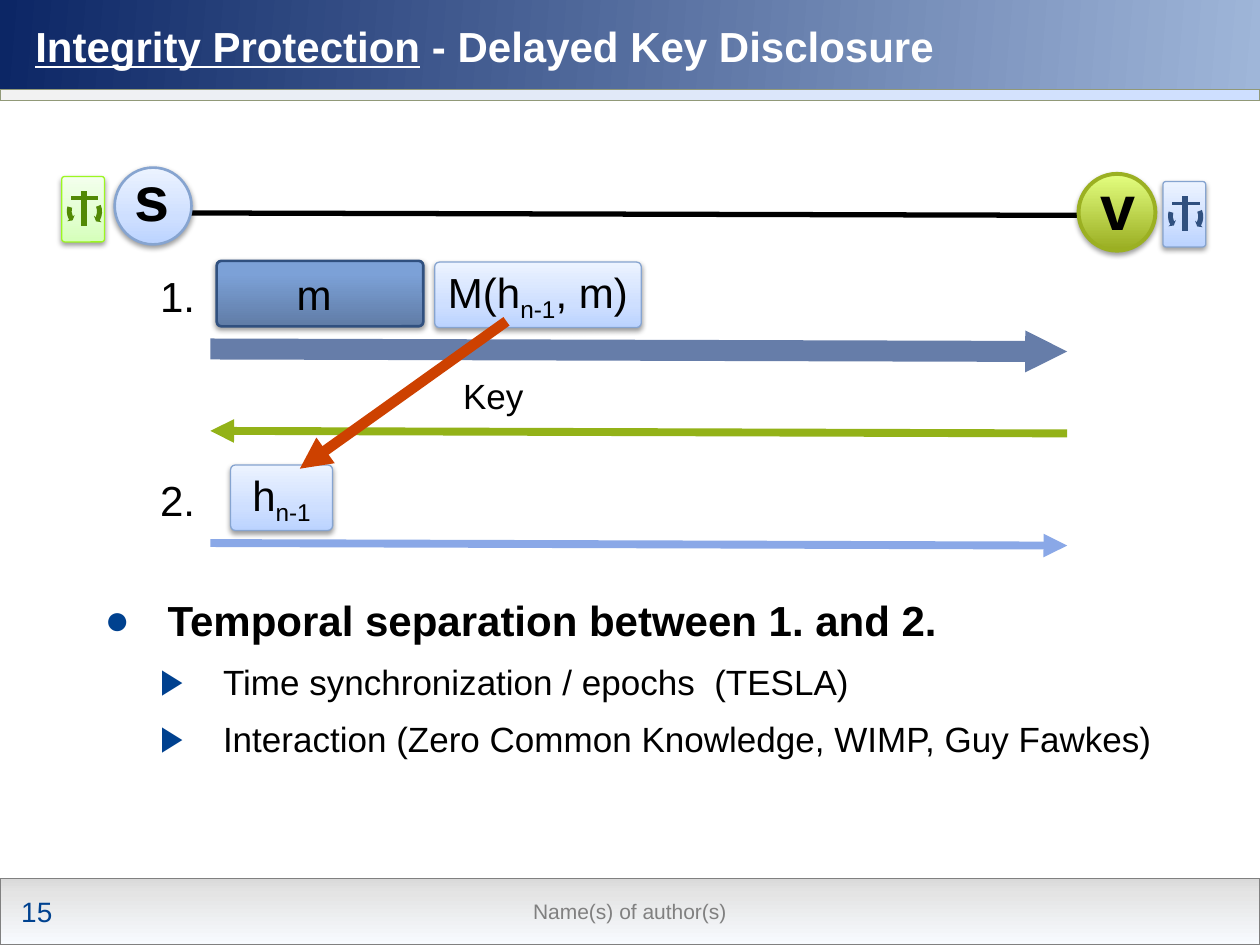
from pptx import Presentation
from pptx.dml.color import RGBColor
from pptx.enum.shapes import MSO_CONNECTOR, MSO_SHAPE
from pptx.enum.text import MSO_ANCHOR, MSO_AUTO_SIZE, PP_ALIGN
from pptx.oxml import parse_xml
from pptx.oxml.ns import nsdecls
from pptx.util import Inches, Pt

RECTANGLE, ROUNDED = MSO_SHAPE.RECTANGLE, MSO_SHAPE.ROUNDED_RECTANGLE
ELLIPSE, BAR = MSO_SHAPE.OVAL, MSO_SHAPE.FLOWCHART_PROCESS
ARC = MSO_SHAPE.CIRCULAR_ARROW
LEFT, CENTER = PP_ALIGN.LEFT, PP_ALIGN.CENTER
TOP, MIDDLE = MSO_ANCHOR.TOP, MSO_ANCHOR.MIDDLE

BLACK, WHITE = RGBColor(0, 0, 0), RGBColor(255, 255, 255)
GRAY = RGBColor(0x80, 0x80, 0x80)
NAVY = RGBColor(0x00, 0x41, 0x8F)
SKY = RGBColor(0x56, 0x77, 0xC1)
NUMBER_BLUE = RGBColor(0x00, 0x42, 0x90)
STRIP_EDGE = RGBColor(0x91, 0x99, 0x78)
PALE_EDGE = RGBColor(0x86, 0xA4, 0xD0)
DARK_BLUE = RGBColor(0x30, 0x50, 0x7F)
STEEL = RGBColor(0x66, 0x7D, 0xA9)
LIGHT_BLUE = RGBColor(0x8A, 0xA8, 0xE7)
OLIVE = RGBColor(0x93, 0xB2, 0x18)
OLIVE_EDGE = RGBColor(0x9B, 0xB0, 0x22)
LIME = RGBColor(0x9C, 0xF7, 0x20)
DARK_GREEN = RGBColor(0x52, 0x89, 0x05)
RED = RGBColor(0xCD, 0x41, 0x00)

# Gradients: angle in degrees, then (position, colour) stops
HEADER = (5, (0, RGBColor(0x0C, 0x26, 0x65)), (100, RGBColor(0x9F, 0xB6, 0xD9)))
STRIP = (0, (0, RGBColor(0xF2, 0xF2, 0xF2)), (100, RGBColor(0xCE, 0xDF, 0xFF)))
FOOTER = (90, (0, RGBColor(0xD9, 0xD9, 0xD9)), (23, RGBColor(0xE4, 0xE4, 0xE4)),
          (100, RGBColor(0xF8, 0xFB, 0xFF)))
PALE_BLUE = (270, (0, RGBColor(0xBB, 0xD3, 0xFF)), (35, RGBColor(0xCE, 0xDF, 0xFF)),
             (100, RGBColor(0xEC, 0xF3, 0xFF)))
PALE_GREEN = (270, (0, RGBColor(0xD5, 0xFF, 0xBA)), (35, RGBColor(0xE1, 0xFF, 0xCE)),
              (100, RGBColor(0xF3, 0xFF, 0xED)))
MID_BLUE = (270, (0, RGBColor(0x60, 0x7C, 0xA6)), (80, RGBColor(0x7C, 0xA1, 0xD7)),
            (100, RGBColor(0x7B, 0xA1, 0xDA)))
GREEN = (270, (0, RGBColor(0x99, 0xAD, 0x21)), (100, RGBColor(0xE4, 0xFF, 0x80)))


def set_gradient(shape, gradient):
    angle, *stops = gradient
    shape.fill.gradient()
    fill = shape._element.spPr.find("{*}gradFill")
    stop_xml = "".join(f'<a:gs pos="{position * 1000}"><a:srgbClr val="{color}"/></a:gs>'
                       for position, color in stops)
    fill.getparent().replace(fill, parse_xml(
        f'<a:gradFill {nsdecls("a")} rotWithShape="1"><a:gsLst>{stop_xml}</a:gsLst>'
        f'<a:lin ang="{angle * 60000}" scaled="0"/></a:gradFill>'))


def add_shadow(shape):
    effects = shape._element.spPr.find("{*}effectLst")
    effects.append(parse_xml(
        f'<a:outerShdw {nsdecls("a")} blurRad="{Pt(3.1)}" dist="{Pt(1.6)}" dir="5400000" '
        'rotWithShape="0"><a:srgbClr val="000000"><a:alpha val="38000"/></a:srgbClr>'
        '</a:outerShdw>'))


def add_figure(shapes, kind, box, fill, edge=None, width=0.75, shadow=False):
    shape = shapes.add_shape(kind, *map(Inches, box))
    shape.shadow.inherit = False
    if isinstance(fill, RGBColor):
        shape.fill.solid()
        shape.fill.fore_color.rgb = fill
    else:
        set_gradient(shape, fill)
    if edge is None:
        shape.line.fill.background()
    else:
        shape.line.color.rgb = edge
        shape.line.width = Pt(width)
    if kind == ROUNDED:
        shape.adjustments[0] = 0.072
    if shadow:
        add_shadow(shape)
    return shape


def add_run(paragraph, text, size, color=BLACK, bold=False, underline=False, baseline=0):
    run = paragraph.add_run()
    run.text = text
    formats = {"name": "Arial", "size": Pt(size), "bold": bold, "underline": underline}
    for name, value in formats.items():
        setattr(run.font, name, value)
    run.font.color.rgb = color
    if baseline:
        run.font._element.set("baseline", str(baseline * 1000))


def write_text(shape, parts, size, anchor=TOP, align=CENTER, wrap=False, **formats):
    """Write one paragraph; every second part is a subscript."""
    frame = shape.text_frame
    frame.word_wrap = wrap
    frame.vertical_anchor = anchor
    paragraph = frame.paragraphs[0]
    paragraph.alignment = align
    for index, text in enumerate(parts):
        add_run(paragraph, text, size, baseline=-25 * (index % 2), **formats)


def add_label(slide, box, text, size, **formats):
    label = slide.shapes.add_textbox(*map(Inches, box))
    write_text(label, [text], size, **formats)
    return label


def add_line(slide, start, end, color, width, arrow_size=None):
    line = slide.shapes.add_connector(MSO_CONNECTOR.STRAIGHT, *map(Inches, start + end))
    line.line.color.rgb = color
    line.line.width = Pt(width)
    if arrow_size:
        line.line._get_or_add_ln().append(parse_xml(
            f'<a:tailEnd {nsdecls("a")} type="triangle" w="{arrow_size}" len="{arrow_size}"/>'))
    line._element.spPr.append(parse_xml(f'<a:effectLst {nsdecls("a")}/>'))


def add_anchor_card(slide, left, top, fill, edge, color):
    shapes = slide.shapes.add_group_shape().shapes
    add_figure(shapes, ROUNDED, (left, top, 0.34, 0.52), fill, edge, shadow=True)
    # Two mirrored arcs form the hook
    for size, rotation, end_angle, flipped in ((0.32, 184, 153.225, False),
                                               (0.31, 176.2, 160.326, True)):
        arc = add_figure(shapes, ARC, (left + 0.02, top + 0.12, size, size), color)
        arc.rotation = rotation
        angles = [angle * 0.6 for angle in (11.423, 204.577, end_angle)]
        for index, value in enumerate([0.125, *angles, 0.125]):
            arc.adjustments[index] = value
        if flipped:
            arc._element.spPr.xfrm.set("flipH", "1")
    add_figure(shapes, BAR, (left + 0.15, top + 0.12, 0.05, 0.27), color)
    add_figure(shapes, BAR, (left + 0.07, top + 0.16, 0.22, 0.03), color)


def place(slide, placeholder, box):
    slide.shapes._spTree.append(placeholder._element)  # bring to front
    for name, value in zip(("left", "top", "width", "height"), box):
        setattr(placeholder, name, Inches(value))
    placeholder.text_frame.auto_size = MSO_AUTO_SIZE.NONE
    placeholder.text_frame.vertical_anchor = TOP


def add_frame(slide):
    background = slide.background.fill
    background.gradient()
    background.gradient_angle = 315
    for stop, color in zip(background.gradient_stops, (NAVY, SKY)):
        stop.color.rgb = color
    add_figure(slide.shapes, RECTANGLE, (0, 0, 10, 0.92), HEADER)
    add_figure(slide.shapes, RECTANGLE, (0, 0.73, 10, 6.24), WHITE)
    add_figure(slide.shapes, RECTANGLE, (0, 0.71, 10, 0.09), STRIP, STRIP_EDGE)
    add_figure(slide.shapes, RECTANGLE, (0, 6.97, 10, 0.53), FOOTER, GRAY)
    number = add_label(slide, (0.07, 7.05, 0.38, 0.37), "15", 16, align=LEFT, color=NUMBER_BLUE)
    number.text_frame.margin_right = 0
    add_label(slide, (2.26, 6.97, 5.48, 0.53), "Name(s) of author(s)", 12,
              anchor=MIDDLE, wrap=True, color=GRAY)


def add_title(slide):
    title = slide.shapes.title
    place(slide, title, (0.18, 0.11, 9.58, 0.5))
    paragraph = title.text_frame.paragraphs[0]
    paragraph.alignment = LEFT
    add_run(paragraph, "Integrity Protection", 24, WHITE, bold=True, underline=True)
    add_run(paragraph, " - Delayed Key Disclosure", 24, WHITE, bold=True)


def add_bullets(slide):
    body = slide.placeholders[1]
    place(slide, body, (0.67, 4.63, 9.33, 2.69))
    items = [(0, "Temporal separation between 1. and 2."),
             (1, "Time synchronization / epochs  (TESLA)"),
             (1, "Interaction (Zero Common Knowledge, WIMP, Guy Fawkes)")]
    levels = [(24, 1.1, 0.56, "●"), (20, 1.2, 1, "▶")]
    frame = body.text_frame
    for index, (level, text) in enumerate(items):
        paragraph = frame.add_paragraph() if index else frame.paragraphs[0]
        size, spacing, indent, bullet = levels[level]
        formats = {"level": level, "alignment": LEFT, "line_spacing": spacing,
                   "space_before": Pt(size * 0.2)}
        for name, value in formats.items():
            setattr(paragraph, name, value)
        properties = paragraph._p.get_or_add_pPr()
        properties.set("marL", str(Inches(indent)))
        properties.set("indent", str(Inches(-0.5)))
        for xml in (f'<a:buClr {nsdecls("a")}><a:srgbClr val="{NAVY}"/></a:buClr>',
                    f'<a:buFont {nsdecls("a")} typeface="Arial"/>',
                    f'<a:buChar {nsdecls("a")} char="{bullet}"/>'):
            properties.append(parse_xml(xml))
        add_run(paragraph, text, size, bold=level == 0)


def add_protocol(slide):
    # Sender and verifier
    add_line(slide, (1.35, 1.69), (8.86, 1.71), BLACK, 3)
    for name, left, top, fill, edge, width, label_at in (
            ("v", 8.56, 1.38, GREEN, OLIVE_EDGE, 2.25, (8.63, 1.28)),
            ("s", 0.91, 1.33, PALE_BLUE, PALE_EDGE, 1.5, (0.97, 1.21))):
        add_figure(slide.shapes, ELLIPSE, (left, top, 0.61, 0.61), fill, edge, width, True)
        add_label(slide, (*label_at, 0.48, 0.71), name, 36, bold=True)
    add_anchor_card(slide, 9.23, 1.44, PALE_BLUE, PALE_EDGE, DARK_BLUE)
    add_anchor_card(slide, 0.49, 1.4, PALE_GREEN, LIME, DARK_GREEN)

    # Message arrows
    add_line(slide, (8.47, 3.44), (1.67, 3.42), OLIVE, 4.5, "med")
    add_line(slide, (1.67, 2.77), (8.47, 2.79), STEEL, 12, "sm")
    add_line(slide, (1.67, 4.31), (8.47, 4.33), LIGHT_BLUE, 4.5, "med")

    # Message parts and step numbers
    for box, parts, fill, edge, width in (
            ((3.45, 2.08, 1.64, 0.52), ["M(h", "n-1", ", m)"], PALE_BLUE, PALE_EDGE, 0.75),
            ((1.72, 2.07, 1.64, 0.52), ["m "], MID_BLUE, DARK_BLUE, 1.5),
            ((1.83, 3.69, 0.81, 0.52), ["h", "n-1"], PALE_BLUE, PALE_EDGE, 0.75)):
        card = add_figure(slide.shapes, ROUNDED, box, fill, edge, width, True)
        write_text(card, parts, 24, anchor=MIDDLE)
    for text, top in (("1.", 2.1), ("2.", 3.72)):
        add_label(slide, (1.17, top, 0.48, 0.5), text, 24)

    # Key disclosure
    add_line(slide, (4.02, 2.55), (2.38, 3.72), RED, 6, "med")
    add_label(slide, (3.57, 2.92, 0.69, 0.44), "Key", 20)


def main():
    presentation = Presentation()
    presentation.slide_width, presentation.slide_height = Inches(10), Inches(7.5)
    slide = presentation.slides.add_slide(presentation.slide_layouts[1])
    add_frame(slide)
    add_title(slide)
    add_bullets(slide)
    add_protocol(slide)
    presentation.save("out.pptx")


if __name__ == "__main__":
    main()
